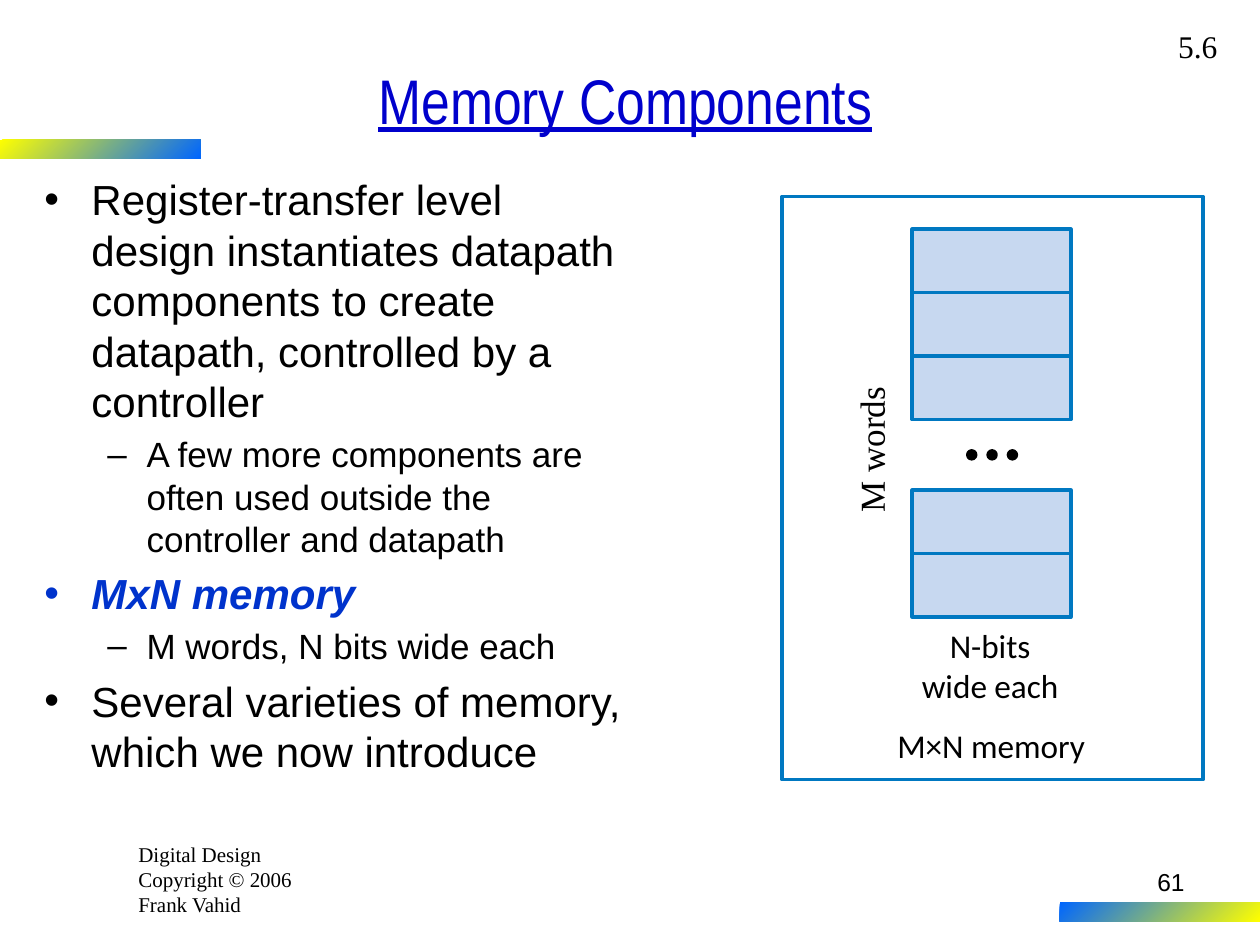
from pptx import Presentation
from pptx.dml.color import RGBColor
from pptx.enum.shapes import MSO_CONNECTOR, MSO_SHAPE as SHAPE
from pptx.enum.text import MSO_ANCHOR as ANCHOR, MSO_AUTO_SIZE as AUTO, PP_ALIGN as ALIGN
from pptx.oxml.ns import qn
from pptx.util import Cm, Pt
from lxml.etree import SubElement

BLACK = RGBColor(0x00, 0x00, 0x00)
TITLE_BLUE = RGBColor(0x00, 0x00, 0xCC)
TERM_BLUE = RGBColor(0x00, 0x33, 0xCC)
LINE_BLUE = RGBColor(0x00, 0x78, 0xC1)
WORD_FILL = RGBColor(0xC7, 0xD8, 0xF0)
BAR_BLUE = RGBColor(0x00, 0x66, 0xFF)
BAR_YELLOW = RGBColor(0xFF, 0xFF, 0x00)

SANS, NARROW, SERIF, LABEL = "Arial", "Arial Narrow", "Times New Roman", "Calibri"
WORD_W, WORD_H = 3.2, 1.28


def add_text(p, text, font=SANS, size=24, color=BLACK, bold=False, italic=False, underline=False):
    r = p.add_run()
    r.text = text
    f = r.font
    f.name, f.size, f.color.rgb = font, Pt(size), color
    f.bold, f.italic, f.underline = bold, italic, underline


class Deck:
    line_width = Pt(2)
    indents = {0: (0.95, -0.95), 1: (2.06, -0.79)}

    def __init__(self, prs):
        self.s = prs.slides.add_slide(prs.slide_layouts[1])

    def place(self, sp, box):
        sp.left, sp.top, sp.width, sp.height = (Cm(v) for v in box)
        sp.text_frame.auto_size = AUTO.NONE

    def title(self, box, text):
        sp = self.s.shapes.title
        self.place(sp, box)
        sp.text_frame.vertical_anchor = ANCHOR.MIDDLE
        p = sp.text_frame.paragraphs[0]
        p.alignment = ALIGN.CENTER
        add_text(p, text, font=NARROW, size=36, color=TITLE_BLUE, underline=True)

    def bullets(self, box, items):
        sp = self.s.placeholders[1]
        self.place(sp, box)
        tf = sp.text_frame
        for i, (level, text, style) in enumerate(items):
            p = tf.add_paragraph() if i else tf.paragraphs[0]
            p.level = level
            size = 20 if level else 24
            p.space_before = Pt(size * 0.2 if i else 0)
            left, hanging = self.indents[level]
            pPr = p._p.get_or_add_pPr()
            pPr.set("marL", str(Cm(left)))
            pPr.set("indent", str(Cm(hanging)))
            add_text(p, text, size=size, **style)

    def text(self, box, lines, align=ALIGN.LEFT, inset=True, wrap=True, rotation=0, **style):
        sp = self.s.shapes.add_textbox(*(Cm(v) for v in box))
        sp.rotation = rotation
        tf = sp.text_frame
        tf.word_wrap = wrap
        if not inset:
            tf.margin_left = tf.margin_right = tf.margin_top = tf.margin_bottom = 0
        for i, line in enumerate(lines):
            p = tf.add_paragraph() if i else tf.paragraphs[0]
            p.alignment = align
            add_text(p, line, **style)

    def shape(self, box, kind=SHAPE.RECTANGLE, fill=None, line=None):
        sp = self.s.shapes.add_shape(kind, *(Cm(v) for v in box))
        sp.shadow.inherit = False
        if fill is None:
            sp.fill.background()
        else:
            sp.fill.solid()
            sp.fill.fore_color.rgb = fill
        if line is None:
            sp.line.fill.background()
        else:
            sp.line.color.rgb = line
            sp.line.width = self.line_width
        return sp

    def gradient_bar(self, box, start, end):
        fill = self.shape(box).fill
        fill.gradient()
        fill.gradient_angle = 315
        for stop, position, color in zip(fill.gradient_stops, (0, 1), (start, end)):
            stop.position = position
            stop.color.rgb = color

    def line(self, x1, y1, x2, y2):
        c = self.s.shapes.add_connector(MSO_CONNECTOR.STRAIGHT, Cm(x1), Cm(y1), Cm(x2), Cm(y2))
        c.line.color.rgb = LINE_BLUE
        c.line.width = self.line_width
        SubElement(c._element.spPr, qn("a:effectLst"))
        return c

    def word_block(self, x, y, words):
        block = self.shape((x, y, WORD_W, words * WORD_H), fill=WORD_FILL, line=LINE_BLUE)
        for i in range(1, words):
            row = y + i * WORD_H
            divider = self.line(x, row, x + WORD_W, row)
            if 2 * i == words:
                divider.begin_connect(block, 1)
                divider.end_connect(block, 3)


def main():
    prs = Presentation()
    prs.slide_width, prs.slide_height = Cm(25.4), Cm(19.05)
    d = Deck(prs)

    d.text((2.54, 16.84, 4.24, 1.78), ["Digital Design", "Copyright © 2006", "Frank Vahid"],
           font=SERIF, size=12)
    d.gradient_bar((0, 2.82, 4.04, 0.38), BAR_YELLOW, BAR_BLUE)
    d.gradient_bar((21.36, 18.19, 4.04, 0.38), BAR_BLUE, BAR_YELLOW)
    d.text((18.85, 17.35, 5.28, 1.27), ["61"], align=ALIGN.RIGHT, size=14)
    d.title((0.64, 0.84, 23.93, 2.34), "Memory Components")
    d.bullets((0.64, 3.38, 12.34, 13.54), [
        (0, "Register-transfer level design instantiates datapath components "
            "to create datapath, controlled by a controller", {}),
        (1, "A few more components are often used outside the controller and datapath", {}),
        (0, "MxN memory", dict(color=TERM_BLUE, bold=True, italic=True)),
        (1, "M words, N bits wide each", {}),
        (0, "Several varieties of memory, which we now introduce", {}),
    ])
    d.text((23.5, 0.43, 1.47, 1.02), ["5.6"], font=SERIF, size=18)

    d.shape((15.77, 3.96, 8.48, 11.76), line=LINE_BLUE)
    d.word_block(18.39, 4.62, 3)
    d.word_block(18.39, 9.88, 2)
    for i in range(3):
        d.shape((19.51 + i * 0.41, 9.09, 0.16, 0.16), SHAPE.OVAL, fill=BLACK, line=BLACK)
    label = dict(align=ALIGN.CENTER, inset=False, font=LABEL, size=19)
    d.text((18.36, 12.6, 3.2, 1.68), ["N-bits", "wide each"], **label)
    d.text((18.06, 14.63, 3.84, 0.86), ["M×N memory"], **label)
    d.text((16.03, 8.51, 3.05, 1.09), ["M words"], wrap=False, rotation=270, font=SERIF, size=20)

    prs.save("out.pptx")


if __name__ == "__main__":
    main()
